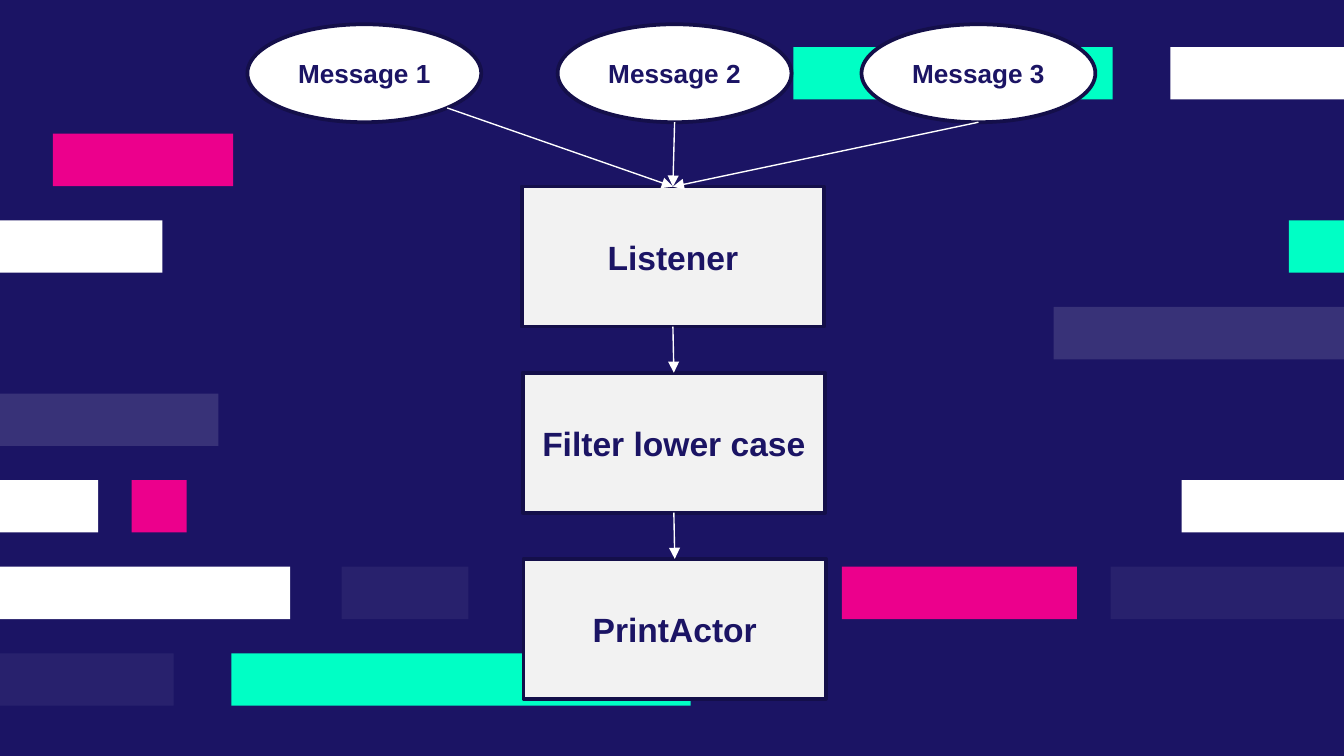
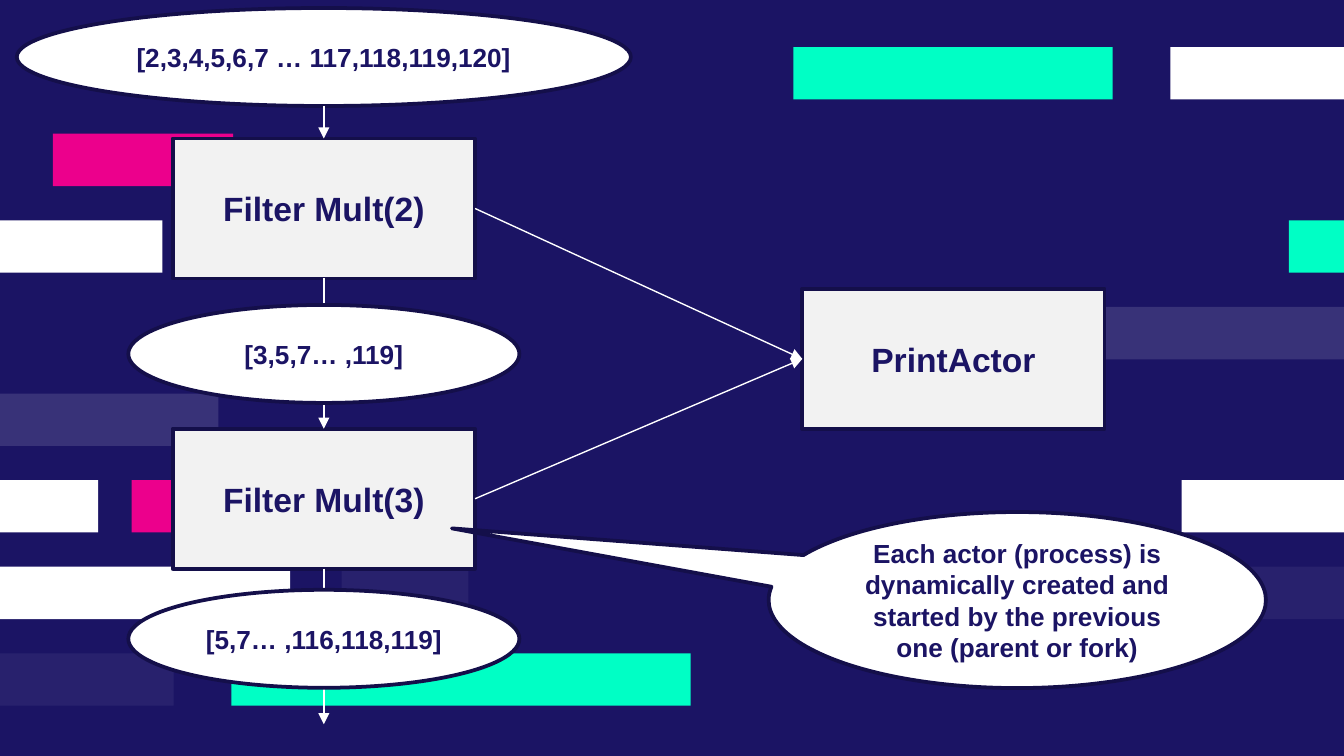
from lxml.etree import SubElement
from pptx import Presentation
from pptx.dml.color import RGBColor
from pptx.enum.shapes import MSO_CONNECTOR as Connector, MSO_SHAPE as Shape
from pptx.enum.text import MSO_ANCHOR as Anchor, PP_ALIGN as Align
from pptx.oxml.ns import qn
from pptx.util import Pt

COLORS = {
    "navy": "1B1464",
    "outline": "140F4A",
    "white": "FFFFFF",
    "gray": "F2F2F2",
    "green": "00FFC5",
    "pink": "EC008C",
}
FONT = "Arial"
SLIDE_WIDTH, SLIDE_HEIGHT = 720, 405
BAR_TOP, BAR_STEP, BAR_HEIGHT = 25.2, 46.4, 28.1
BOX_WIDTH, BOX_HEIGHT = 162, 75
OVAL_HEIGHT = 52.5

BARS = [
    (5, 0, 52.6, "white", 100),
    (0, 627, 93, "white", 100),
    (3, 564.5, 155.5, "white", 13),
    (2, 690.5, 29.5, "green", 100),
    (5, 633, 87, "white", 100),
    (6, 595, 125, "white", 6),
    (7, 0, 93, "white", 6),
    (6, 0, 155.5, "white", 100),
    (6, 183, 68, "white", 6),
    (4, 0, 117, "white", 13),
    (5, 70.5, 29.5, "pink", 100),
    (2, 0, 87, "white", 100),
    (1, 28.4, 96.6, "pink", 100),
    (0, 425, 171, "green", 100),
    (6, 451, 126, "pink", 100),
    (7, 124, 246, "green", 100),
]

SIDES = {
    "top": (0.5, 0, 0),
    "left": (0, 0.5, 1),
    "bottom": (0.5, 1, 2),
    "right": (1, 0.5, 3),
    "lower right": (0.854, 0.854, None),
}


def color(name):
    return RGBColor.from_string(COLORS[name])


class Deck:
    def __init__(self):
        self.presentation = Presentation()
        self.presentation.slide_width = Pt(SLIDE_WIDTH)
        self.presentation.slide_height = Pt(SLIDE_HEIGHT)
        self.layout = self.presentation.slide_layouts[6]
        self.slide = None
        background = self.presentation.slide_master.background.fill
        background.solid()
        background.fore_color.rgb = color("navy")

    def new_slide(self):
        self.slide = self.presentation.slides.add_slide(self.layout)

    def decorate_layout(self):
        for placeholder in list(self.layout.placeholders):
            self.layout.shapes.element.remove(placeholder.element)
        bars = [self.bar(*bar) for bar in BARS]
        for bar in bars:
            self.layout.shapes.element.append(bar.element)

    def shape(self, kind, left, top, width, height, fill):
        shape = self.slide.shapes.add_shape(
            kind, Pt(left), Pt(top), Pt(width), Pt(height))
        shape.shadow.inherit = False
        shape.fill.solid()
        shape.fill.fore_color.rgb = color(fill)
        return shape

    def bar(self, row, left, width, fill, opacity):
        shape = self.shape(Shape.RECTANGLE, left, BAR_TOP + row * BAR_STEP,
                           width, BAR_HEIGHT, fill)
        shape.line.fill.background()
        if opacity < 100:
            solid = shape.element.spPr.find(qn("a:solidFill"))
            SubElement(solid[0], qn("a:alpha"), val=str(opacity * 1000))
        return shape

    def label(self, shape, text, size):
        shape.line.color.rgb = color("outline")
        shape.line.width = Pt(2)
        frame = shape.text_frame
        frame.word_wrap = True
        frame.vertical_anchor = Anchor.MIDDLE
        paragraph = frame.paragraphs[0]
        paragraph.alignment = Align.CENTER
        run = paragraph.add_run()
        run.text = text
        run.font.name = FONT
        run.font.size = Pt(size)
        run.font.bold = True
        run.font.color.rgb = color("navy")
        return shape

    def box(self, text, left, top):
        shape = self.shape(Shape.RECTANGLE, left, top,
                           BOX_WIDTH, BOX_HEIGHT, "gray")
        return self.label(shape, text, 18)

    def oval(self, text, center, top, width):
        shape = self.shape(Shape.OVAL, center - width / 2, top,
                           width, OVAL_HEIGHT, "white")
        return self.label(shape, text, 14)

    def callout(self, text, left, top, width, height, tip):
        shape = self.shape(Shape.OVAL_CALLOUT, left, top,
                           width, height, "white")
        shape.adjustments[0], shape.adjustments[1] = tip
        return self.label(shape, text, 14)

    def anchor(self, shape, side):
        across, down, _ = SIDES[side]
        return (int(shape.left + across * shape.width),
                int(shape.top + down * shape.height))

    def line(self, begin, end):
        connector = self.slide.shapes.add_connector(
            Connector.STRAIGHT, *begin, *end)
        connector.line.color.rgb = color("white")
        connector.line.width = Pt(0.75)
        properties = connector.element.spPr
        SubElement(properties.find(qn("a:ln")), qn("a:tailEnd"),
                   type="triangle")
        SubElement(properties, qn("a:effectLst"))
        return connector

    def arrow(self, source, source_side, target, target_side):
        connector = self.line(self.anchor(source, source_side),
                              self.anchor(target, target_side))
        if source.auto_shape_type == Shape.RECTANGLE:
            connector.begin_connect(source, SIDES[source_side][2])
        if target.auto_shape_type == Shape.RECTANGLE:
            connector.end_connect(target, SIDES[target_side][2])


deck = Deck()

deck.new_slide()
deck.decorate_layout()
stages = [
    deck.box(name, 279.5 + 0.5 * index, 100 + 99.7 * index)
    for index, name in enumerate(["Listener", "Filter lower case", "PrintActor"])
]
messages = [
    ("Message 1", 195.2, "lower right"),
    ("Message 2", 361.4, "bottom"),
    ("Message 3", 524.2, "bottom"),
]
for name, center, side in messages:
    message = deck.oval(name, center, 13, 125.3)
    deck.arrow(message, side, stages[0], "top")
for upper, lower in zip(stages, stages[1:]):
    deck.arrow(upper, "bottom", lower, "top")

deck.new_slide()
column = 173.5
filter_left = column - BOX_WIDTH / 2
numbers = deck.oval("[2,3,4,5,6,7 … 117,118,119,120]", column, 4.3, 329)
filter_two = deck.box("Filter Mult(2)", filter_left, 74.2)
filter_three = deck.box("Filter Mult(3)", filter_left, 229.7)
printer = deck.box("PrintActor", 429.8, 154.8)
deck.arrow(numbers, "bottom", filter_two, "top")
deck.arrow(filter_two, "bottom", filter_three, "top")
deck.line(deck.anchor(filter_three, "bottom"), (Pt(column), Pt(388)))
for source in (filter_two, filter_three):
    deck.arrow(source, "right", printer, "left")
deck.oval("[3,5,7… ,119]", column, 163.4, 209.5)
deck.oval("[5,7… ,116,118,119]", column, 316, 209.5)
deck.callout("Each actor (process) is dynamically created and started "
             "by the previous one (parent or fork)",
             411.8, 274.3, 266.4, 94.3, (-1.137, -0.407))

deck.presentation.save("out.pptx")
